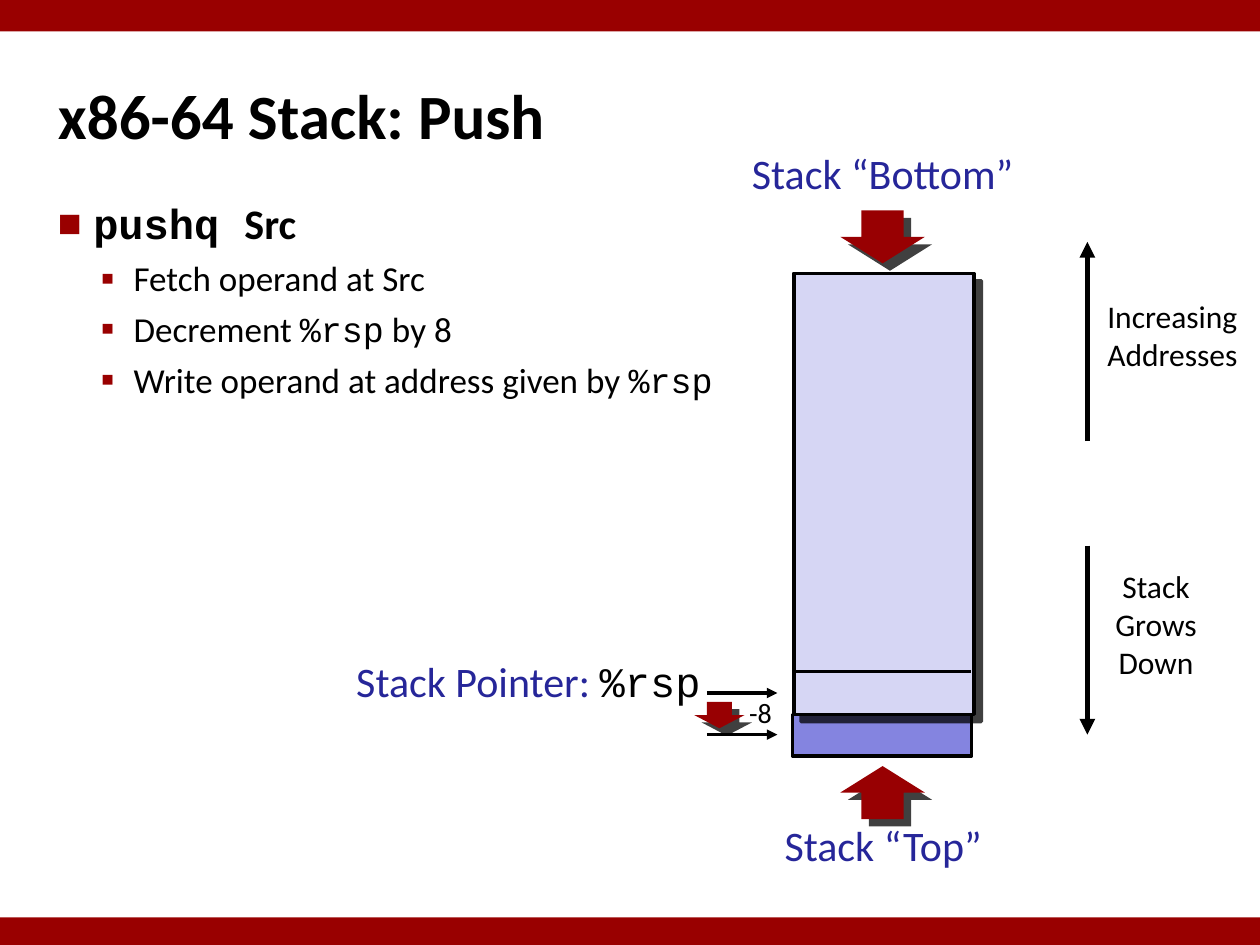
from dataclasses import dataclass

from lxml.etree import SubElement
from pptx import Presentation
from pptx.dml.color import RGBColor
from pptx.enum.shapes import MSO_CONNECTOR, MSO_SHAPE
from pptx.enum.text import MSO_ANCHOR, MSO_AUTO_SIZE, PP_ALIGN
from pptx.oxml.ns import qn
from pptx.util import Inches, Pt

RED, ARROW_RED, BLACK, WHITE = "990000", "980002", "000000", "FFFFFF"
BLUE, STACK_FILL, PUSHED_FILL = "262699", "D6D6F4", "8484E0"
SANS, MONO = "Calibri", "Courier New"


@dataclass
class Run:
    text: str
    color: str = BLACK
    font: str = SANS


@dataclass
class Block:
    box: tuple
    shape: MSO_SHAPE
    fill: str
    outlined: bool = False
    shadow: bool = False


@dataclass
class Line:
    start: tuple
    end: tuple
    width: float = 2
    arrow: bool = True


@dataclass
class Label:
    box: tuple
    lines: list
    size: float = 24
    inset: float = 0
    align: PP_ALIGN = PP_ALIGN.CENTER
    wrap: bool = False
    fill: str = ""


@dataclass
class Bullet:
    runs: list
    level: int = 1
    size: float = 20
    bold: bool = False
    margin: float = 0.6
    hanging: float = 0.26
    before: float = 5
    mark: str = "▪"
    mark_percent: int = 110


def paint(target, color: str) -> None:
    target.rgb = RGBColor.from_string(color)


def place(shape, box: tuple) -> None:
    shape.left, shape.top, shape.width, shape.height = map(Inches, box)


def prepare_frame(frame, inset: float, wrap: bool, anchor=MSO_ANCHOR.TOP) -> None:
    frame.auto_size = MSO_AUTO_SIZE.NONE
    frame.word_wrap = wrap
    frame.vertical_anchor = anchor
    frame.margin_left = frame.margin_right = Inches(inset)
    frame.margin_top = frame.margin_bottom = Inches(inset)


def write_runs(paragraph, runs: list, size: float, bold: bool = False) -> None:
    paragraph.font.size = Pt(size)
    paragraph.font.bold = bold
    for item in runs:
        run = paragraph.add_run()
        run.text = item.text
        run.font.name = item.font
        paint(run.font.color, item.color)


def add_shadow(shape) -> None:
    effects = shape._element.spPr.find(qn("a:effectLst"))
    shadow = SubElement(effects, qn("a:outerShdw"), blurRad="0",
                        dist=str(Pt(6)), dir=str(45 * 60000),
                        algn="ctr", rotWithShape="0")
    color = SubElement(shadow, qn("a:srgbClr"), val=BLACK)
    SubElement(color, qn("a:alpha"), val="75000")


def draw_block(slide, block: Block) -> None:
    shape = slide.shapes.add_shape(block.shape, *map(Inches, block.box))
    shape.shadow.inherit = False
    shape.fill.solid()
    paint(shape.fill.fore_color, block.fill)
    if block.outlined:
        paint(shape.line.color, BLACK)
        shape.line.width = Pt(2)
    else:
        shape.line.fill.background()
    if block.shadow:
        add_shadow(shape)


def draw_line(slide, line: Line) -> None:
    connector = slide.shapes.add_connector(
        MSO_CONNECTOR.STRAIGHT, *map(Inches, line.start + line.end))
    paint(connector.line.color, BLACK)
    connector.line.width = Pt(line.width)
    if line.arrow:
        SubElement(connector.line._get_or_add_ln(), qn("a:tailEnd"), type="triangle")
    SubElement(connector._element.spPr, qn("a:effectLst"))


def draw_label(slide, label: Label) -> None:
    shape = slide.shapes.add_textbox(*map(Inches, label.box))
    if label.fill:
        shape.fill.solid()
        paint(shape.fill.fore_color, label.fill)
    frame = shape.text_frame
    prepare_frame(frame, label.inset, label.wrap)
    for index, runs in enumerate(label.lines):
        paragraph = frame.add_paragraph() if index else frame.paragraphs[0]
        paragraph.alignment = label.align
        write_runs(paragraph, runs, label.size)


def write_bullet(paragraph, bullet: Bullet, first: bool) -> None:
    paragraph.level = bullet.level
    properties = paragraph._p.get_or_add_pPr()
    properties.set("marL", str(Inches(bullet.margin)))
    properties.set("indent", str(-Inches(bullet.hanging)))
    color = SubElement(properties, qn("a:buClr"))
    SubElement(color, qn("a:srgbClr"), val=RED)
    SubElement(properties, qn("a:buSzPct"), val=str(bullet.mark_percent * 1000))
    SubElement(properties, qn("a:buFont"), typeface=SANS)
    SubElement(properties, qn("a:buChar"), char=bullet.mark)
    paragraph.space_before = Pt(0 if first else bullet.before)
    write_runs(paragraph, bullet.runs, bullet.size, bullet.bold)


BULLETS = [
    Bullet([Run("pushq ", font=MONO), Run("Src")], 0, 24, True, 0.28, 0.28,
           mark="■", mark_percent=60),
    Bullet([Run("Fetch operand at Src")]),
    Bullet([Run("Decrement "), Run("%rsp", font=MONO), Run(" by 8")]),
    Bullet([Run("Write operand at address given by "), Run("%rsp", font=MONO)]),
]

# Diagram parts, from back to front
DIAGRAM = [
    # Pushed word and pointer movement
    Block((6.29, 5.67, 1.42, 0.33), MSO_SHAPE.RECTANGLE, PUSHED_FILL, outlined=True),
    Line((5.61, 5.83), (6.17, 5.83)),
    Label((5.9, 5.48, 0.27, 0.35), [[Run("-8")]], 16, inset=0.04),
    Block((5.51, 5.57, 0.4, 0.21), MSO_SHAPE.DOWN_ARROW, ARROW_RED, shadow=True),
    Line((5.61, 5.5), (6.17, 5.5)),
    # Stack body and its last word
    Block((6.3, 2.17, 1.43, 3.5), MSO_SHAPE.RECTANGLE, STACK_FILL, True, True),
    Line((6.29, 5.33), (7.71, 5.33), arrow=False),
    # Directions of growth
    Line((8.63, 4.33), (8.63, 5.83), 3),
    Label((8.73, 4.5, 0.89, 1), [[Run("Stack Grows")], [Run("Down")]], 18,
          wrap=True, fill=WHITE),
    Line((8.63, 3.5), (8.63, 1.92), 3),
    Label((8.74, 2.36, 1.13, 0.69), [[Run("Increasing")], [Run("Addresses")]], 18,
          fill=WHITE),
    # Names of the stack ends and the pointer
    Label((5.89, 1.17, 2.23, 0.49), [[Run("Stack “Bottom”", BLUE)]]),
    Block((6.67, 1.67, 0.67, 0.42), MSO_SHAPE.DOWN_ARROW, ARROW_RED, shadow=True),
    Label((2.78, 5.2, 2.78, 0.4),
          [[Run("Stack Pointer: ", BLUE), Run("%rsp", font=MONO)]],
          align=PP_ALIGN.RIGHT),
    Label((6.16, 6.5, 1.7, 0.49), [[Run("Stack “Top”", BLUE)]]),
    Block((6.67, 6.08, 0.67, 0.42), MSO_SHAPE.UP_ARROW, ARROW_RED, shadow=True),
    # Slide bands
    Block((0, 0, 10, 0.25), MSO_SHAPE.RECTANGLE, RED),
    Block((0, 7.28, 10, 0.22), MSO_SHAPE.RECTANGLE, RED),
]
DRAW = {Block: draw_block, Line: draw_line, Label: draw_label}


def main() -> None:
    presentation = Presentation()
    presentation.slide_width, presentation.slide_height = Inches(10), Inches(7.5)
    slide = presentation.slides.add_slide(presentation.slide_layouts[1])

    # Title and list
    title, body = slide.shapes.title, slide.placeholders[1]
    place(title, (0.42, 0.28, 9.17, 1.25))
    prepare_frame(title.text_frame, 0.04, True, MSO_ANCHOR.MIDDLE)
    heading = title.text_frame.paragraphs[0]
    heading.alignment = PP_ALIGN.LEFT
    write_runs(heading, [Run("x86-64 Stack: Push")], 36, True)

    place(body, (0.42, 1.53, 9.17, 5.94))
    frame = body.text_frame
    prepare_frame(frame, 0.04, True)
    for index, bullet in enumerate(BULLETS):
        paragraph = frame.add_paragraph() if index else frame.paragraphs[0]
        write_bullet(paragraph, bullet, index == 0)

    for part in DIAGRAM:
        DRAW[type(part)](slide, part)
    presentation.save("out.pptx")


if __name__ == "__main__":
    main()
